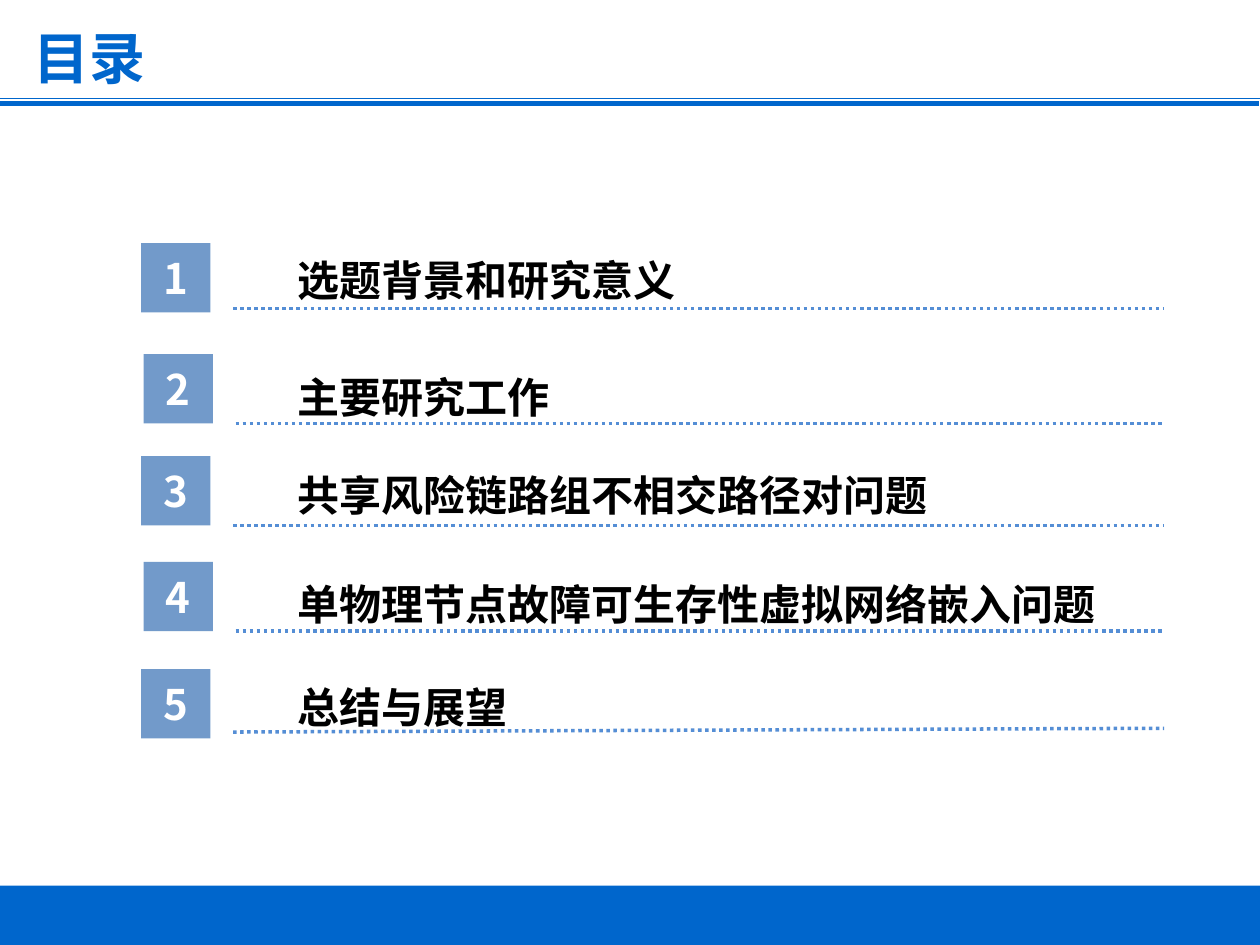
import lxml.etree
import pptx
import pptx.util
import pptx.dml.color
import pptx.enum.dml
import pptx.enum.shapes
import pptx.enum.text
import pptx.oxml.ns

qn = pptx.oxml.ns.qn
ALIGN = pptx.enum.text.PP_ALIGN
ANCHOR = pptx.enum.text.MSO_ANCHOR
CJK = "Noto Sans CJK SC"
BLUE, TILE, DOTS = "0066CC", "4F81BD", "558ED5"
COLS, ROWS = 100, 75

# label, text top, text width, latin font, alignment, tile left, tile top, rule start, rule end
ITEMS = [
    ("选题背景和研究意义", 19.7, 56.7, "Arial", ALIGN.LEFT, 11.2, 19.3, 24.5, 24.5),
    ("主要研究工作", 29, 54.9, "Arial", ALIGN.LEFT, 11.4, 28.1, 33.6, 33.6),
    ("共享风险链路组不相交路径对问题", 36.8, 66.2, "Times New Roman", ALIGN.JUSTIFY,
     11.2, 36.2, 41.7, 41.7),
    ("单物理节点故障可生存性虚拟网络嵌入问题", 45.4, 75, "Calibri", ALIGN.JUSTIFY,
     11.4, 44.6, 50.1, 50.1),
    ("总结与展望", 53.6, 32.9, "Arial", ALIGN.LEFT, 11.2, 53.1, 58.1, 57.8),
]


def rgb(color):
    return pptx.dml.color.RGBColor.from_string(color)


def write(tf, text, size=24, color="000000", font=CJK, align=ALIGN.LEFT,
          anchor=ANCHOR.TOP, wrap=True):
    tf.word_wrap = wrap
    tf.vertical_anchor = anchor
    p = tf.paragraphs[0]
    p.alignment = align
    r = p.add_run()
    r.text = text
    r.font.size = pptx.util.Pt(size)
    r.font.bold = True
    r.font.color.rgb = rgb(color)
    r.font.name = font
    lxml.etree.SubElement(r.font._element, qn("a:ea"), typeface=CJK)


class Deck:
    """Places elements on a grid of COLS by ROWS over the current slide."""

    def __init__(self):
        self.prs = pptx.Presentation()
        self.prs.slide_width = pptx.util.Inches(10)
        self.prs.slide_height = pptx.util.Inches(7.5)
        self.s = self.prs.slides.add_slide(self.prs.slide_layouts[6])

    def x(self, col):
        return round(self.prs.slide_width * col / COLS)

    def y(self, row):
        return round(self.prs.slide_height * row / ROWS)

    def box(self, col, row, cols, rows, fill, alpha=None):
        sp = self.s.shapes.add_shape(pptx.enum.shapes.MSO_SHAPE.RECTANGLE,
                                     self.x(col), self.y(row), self.x(cols), self.y(rows))
        sp.shadow.inherit = False
        sp.fill.solid()
        sp.fill.fore_color.rgb = rgb(fill)
        sp.line.fill.background()
        if alpha is not None:
            color = sp._element.spPr.find(qn("a:solidFill"))[0]
            lxml.etree.SubElement(color, qn("a:alpha"), val=str(alpha * 1000))
        return sp

    def text(self, col, row, cols, rows, text, **style):
        sp = self.s.shapes.add_textbox(self.x(col), self.y(row), self.x(cols), self.y(rows))
        write(sp.text_frame, text, **style)

    def line(self, start, end, color, width, dash=None):
        sp = self.s.shapes.add_connector(pptx.enum.shapes.MSO_CONNECTOR.STRAIGHT,
                                         self.x(start[0]), self.y(start[1]),
                                         self.x(end[0]), self.y(end[1]))
        sp.line.color.rgb = rgb(color)
        sp.line.width = pptx.util.Pt(width)
        if dash is not None:
            sp.line.dash_style = dash
        lxml.etree.SubElement(sp._element.spPr, qn("a:effectLst"))

    def frame(self, title):
        """Draw the footer band, the double header rule and the title."""
        self.box(0, 70.3, COLS, ROWS - 70.3, BLUE)
        self.line((0, 8.2), (99.9, 8.2), BLUE, 3)
        self.line((0, 7.8), (COLS, 7.8), BLUE, 0.25)
        self.text(1.7, 1.4, 11, 6.4, title, size=32, color=BLUE, wrap=False)

    def item(self, number, label, top, width, font, align, left, tile_top, rule_start, rule_end):
        tile = self.box(left, tile_top, 5.5, 5.5, TILE, alpha=80)
        write(tile.text_frame, str(number), color="FFFFFF", align=ALIGN.CENTER,
              anchor=ANCHOR.MIDDLE)
        self.line((left + 7.3, rule_start), (92.4, rule_end), DOTS, 2,
                  pptx.enum.dml.MSO_LINE.ROUND_DOT)
        self.text(22.6, top, width, 5, label, font=font, align=align)


def main():
    deck = Deck()
    deck.frame("目录")
    for number, item in enumerate(ITEMS, 1):
        deck.item(number, *item)
    deck.prs.save("out.pptx")


if __name__ == "__main__":
    main()
